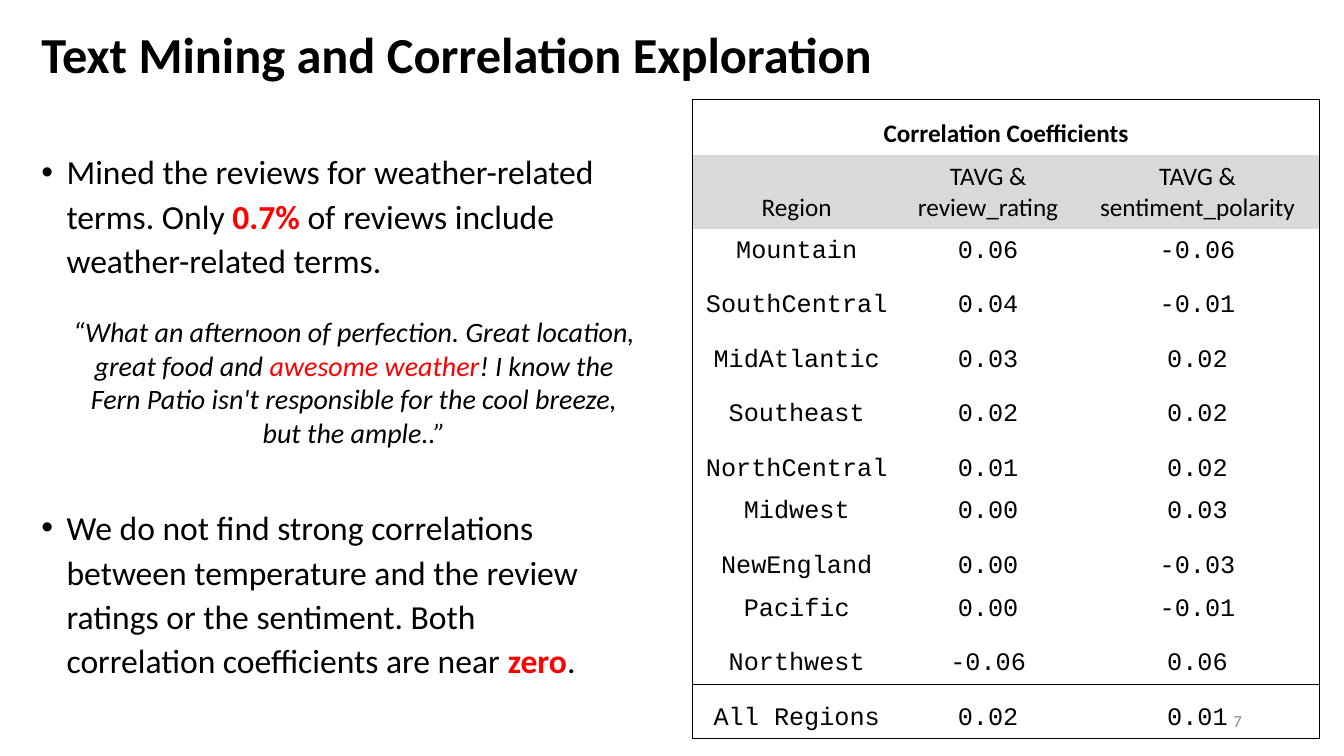
from lxml import etree
from pptx import Presentation
from pptx.dml.color import RGBColor
from pptx.enum import text
from pptx.oxml.ns import qn
from pptx.util import Pt

BLACK, RED, GREY, BAND = "000000", "FF0000", "8C8C8C", "D9D9D9"
LEFT, CENTER, RIGHT = text.PP_ALIGN.LEFT, text.PP_ALIGN.CENTER, text.PP_ALIGN.RIGHT
REGIONS = [
    ("Mountain", "0.06", "-0.06"),
    ("SouthCentral", "0.04", "-0.01"),
    ("MidAtlantic", "0.03", "0.02"),
    ("Southeast", "0.02", "0.02"),
    ("NorthCentral", "0.01", "0.02"),
    ("Midwest", "0.00", "0.03"),
    ("NewEngland", "0.00", "-0.03"),
    ("Pacific", "0.00", "-0.01"),
    ("Northwest", "-0.06", "0.06"),
    ("All Regions", "0.02", "0.01"),
]
HEADER = ("Region", "TAVG & review_rating", "TAVG & sentiment_polarity")
LOW_ROWS = ("Mountain", "Midwest", "Pacific")


def rgb(color):
    return RGBColor.from_string(color)


def style(r, size, color=BLACK, bold=False, italic=False, font="Calibri"):
    r.font.name = font
    r.font.size = Pt(size)
    r.font.bold = bold
    r.font.italic = italic
    r.font.color.rgb = rgb(color)


def add_text(s, box, parts, size, align=LEFT, anchor=text.MSO_ANCHOR.TOP,
             spacing=1.0, **look):
    """Parts are (wording, extra look) pairs within one paragraph."""
    tf = s.shapes.add_textbox(*map(Pt, box)).text_frame
    tf.word_wrap = True
    tf.vertical_anchor = anchor
    p = tf.paragraphs[0]
    p.alignment = align
    p.line_spacing = spacing
    for wording, extra in parts:
        r = p.add_run()
        r.text = wording
        style(r, size, **{**look, **extra})
    return p


def add_bullet(s, box, parts):
    p = add_text(s, box, parts, 24, spacing=1.1)
    p.space_before = Pt(10)
    pPr = p._p.get_or_add_pPr()
    pPr.set("marL", str(Pt(18)))
    pPr.set("indent", str(-Pt(18)))
    etree.SubElement(pPr, qn("a:buFont")).set("typeface", "Arial")
    etree.SubElement(pPr, qn("a:buChar")).set("char", "•")


def set_borders(cell, sides):
    """Draw the named sides (L, R, T, B) in black and clear the others."""
    tcPr = cell._tc.get_or_add_tcPr()
    for i, side in enumerate("LRTB"):
        ln = etree.Element(qn("a:ln" + side), w=str(Pt(1)))
        if side in sides:
            fill = etree.SubElement(ln, qn("a:solidFill"))
            etree.SubElement(fill, qn("a:srgbClr")).set("val", BLACK)
        else:
            etree.SubElement(ln, qn("a:noFill"))
        tcPr.insert(i, ln)


def fill_cell(cell, wording, font, bold, band):
    cell.margin_left = cell.margin_right = Pt(4.5)
    cell.margin_top = cell.margin_bottom = Pt(4.5)
    cell.vertical_anchor = text.MSO_ANCHOR.BOTTOM
    if band:
        cell.fill.solid()
        cell.fill.fore_color.rgb = rgb(BAND)
    else:
        cell.fill.background()
    p = cell.text_frame.paragraphs[0]
    p.text = wording
    p.alignment = CENTER
    for r in p.runs:
        style(r, 18, bold=bold, font=font)


def add_correlations(s):
    rows = [("Correlation Coefficients", "", ""), HEADER] + REGIONS
    heights = [39.5, 53] + [30.6 if row[0] in LOW_ROWS else 38.9 for row in REGIONS]
    widths = (149, 124.4, 174.8)
    frame = s.shapes.add_table(len(rows), 3, Pt(494.6), Pt(71.3),
                               Pt(sum(widths)), Pt(sum(heights)))
    table = frame.table
    table.first_row = table.horz_banding = False
    for column, width in zip(table.columns, widths):
        column.width = Pt(width)
    table.cell(0, 0).merge(table.cell(0, 2))
    last = len(rows) - 1
    for i, row in enumerate(rows):
        table.rows[i].height = Pt(heights[i])
        for j, wording in enumerate(row):
            cell = table.cell(i, j)
            font = "Calibri" if i < 2 else "Courier New"
            fill_cell(cell, wording, font, bold=i == 0, band=i == 1)
            # Outer frame, plus a rule above the totals
            sides = "L" if j == 0 else ""
            sides += "R" if j == 2 or i == 0 else ""
            sides += "T" if i in (0, last) else ""
            sides += "B" if i >= last - 1 else ""
            set_borders(cell, sides)


def main():
    prs = Presentation()
    prs.slide_width, prs.slide_height = Pt(960), Pt(540)
    s = prs.slides.add_slide(prs.slide_layouts[6])

    # Title and page number
    add_text(s, (22.5, 18, 871, 62.6),
             [("Text Mining and Correlation Exploration", {})],
             36, spacing=0.9, bold=True)
    add_text(s, (678.2, 500.4, 216, 28.8), [("7", {})], 12, RIGHT,
             text.MSO_ANCHOR.MIDDLE, color=GREY)

    # Findings and a sample review
    strong = {"color": RED, "bold": True}
    add_bullet(s, (22.5, 101.7, 441.4, 398.9), [
        ("Mined the reviews for weather-related terms. Only ", {}),
        ("0.7% ", strong),
        ("of reviews include weather-related terms.", {})])
    add_text(s, (42, 221.2, 421.9, 104.4), [
        ("“What an afternoon of perfection. Great location, great food and ", {}),
        ("awesome weather", {"color": RED}),
        ("! I know the Fern Patio isn't responsible for the cool breeze, "
         "but the ample..”", {})], 20, CENTER, italic=True)

    # Coefficients by region
    add_correlations(s)

    # Conclusion
    add_bullet(s, (22.5, 355.9, 433.4, 144.7), [
        ("We do not find strong correlations between temperature and the review "
         "ratings or the sentiment. Both correlation coefficients are near ", {}),
        ("zero", strong),
        (".", {})])

    prs.save("out.pptx")


if __name__ == "__main__":
    main()
